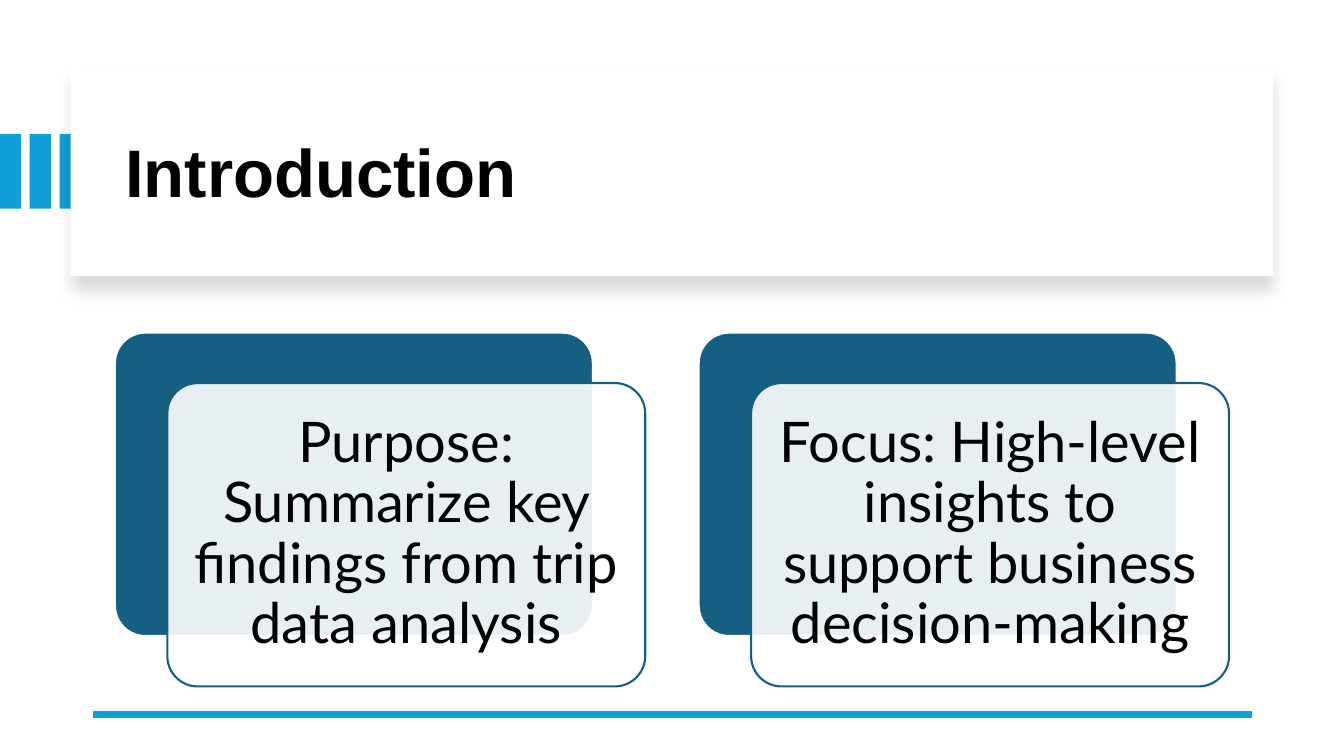
from lxml import etree
from pptx import Presentation
from pptx.dml.color import RGBColor
from pptx.enum import shapes as kinds, text as txt
from pptx.oxml import parse_xml
from pptx.oxml.ns import nsdecls, qn
from pptx.util import Inches, Pt

SKY = RGBColor(0x0F, 0x9E, 0xD5)
TEAL = RGBColor(0x15, 0x60, 0x82)
WHITE = RGBColor(0xFF, 0xFF, 0xFF)
BLACK = RGBColor(0, 0, 0)

MESSAGES = (
    "Purpose: Summarize key findings from trip data analysis",
    "Focus: High-level insights to support business decision-making",
)


def write(shape, words, *, size, font, align, bold=False, inset=(0.1, 0.05)):
    frame = shape.text_frame
    frame.word_wrap = True
    frame.auto_size = txt.MSO_AUTO_SIZE.NONE
    frame.vertical_anchor = txt.MSO_ANCHOR.MIDDLE
    frame.margin_left = frame.margin_right = Inches(inset[0])
    frame.margin_top = frame.margin_bottom = Inches(inset[1])
    paragraph = frame.paragraphs[0]
    paragraph.alignment = align
    paragraph.line_spacing = 0.9
    run = paragraph.add_run()
    run.text = words
    run.font.name = font
    run.font.size = Pt(size)
    run.font.bold = bold
    run.font.color.rgb = BLACK


def add_block(slide, box, fill, *, line=None, radius=None):
    preset = kinds.MSO_SHAPE.RECTANGLE if radius is None else kinds.MSO_SHAPE.ROUNDED_RECTANGLE
    block = slide.shapes.add_shape(preset, *map(Inches, box))
    block.shadow.inherit = False
    block.fill.solid()
    block.fill.fore_color.rgb = fill
    if radius is not None:
        block.adjustments[0] = radius
    if line is None:
        block.line.fill.background()
    else:
        block.line.color.rgb = line
        block.line.width = Pt(1.5)
    return block


def set_opacity(block, percent):
    color = block.element.spPr.find(qn("a:solidFill"))[0]
    etree.SubElement(color, qn("a:alpha")).set("val", str(percent * 1000))


def drop_shadow(block, *, blur, distance, opacity):
    effects = block.element.spPr.find(qn("a:effectLst"))
    effects.append(parse_xml(
        f'<a:outerShdw {nsdecls("a")} blurRad="{Pt(blur)}" dist="{Pt(distance)}" '
        f'dir="5400000" algn="t" rotWithShape="0"><a:srgbClr val="{BLACK}">'
        f'<a:alpha val="{opacity * 1000}"/></a:srgbClr></a:outerShdw>'))


def add_rule(slide, start, end, y):
    rule = slide.shapes.add_connector(
        kinds.MSO_CONNECTOR.STRAIGHT, Inches(start), Inches(y), Inches(end), Inches(y))
    rule.line.color.rgb = SKY
    rule.line.width = Pt(4.5)
    etree.SubElement(rule.element.spPr, qn("a:effectLst"))


def add_header(slide, heading):
    for index in range(3):
        add_block(slide, (index * 0.295, 1.33, 0.21, 0.74), SKY)
    banner = add_block(slide, (0.7, 0.67, 11.93, 2.07), WHITE)
    drop_shadow(banner, blur=11, distance=10, opacity=15)
    title = slide.shapes.title
    title.left, title.top, title.width, title.height = map(Inches, (1.14, 0.89, 11.13, 1.7))
    write(title, heading, size=48, font="Arial", align=txt.PP_ALIGN.LEFT, bold=True)
    banner.element.addnext(title.element)


def add_card(slide, left, message):
    top, width, height = 3.3, 4.74, 3.01
    add_block(slide, (left, top, width, height), TEAL, line=WHITE, radius=0.1)
    card = add_block(slide, (left + 0.52, top + 0.5, width, height), WHITE, line=TEAL, radius=0.1)
    set_opacity(card, 90)
    write(card, message, size=40, font="Lato", align=txt.PP_ALIGN.CENTER, inset=(0.17, 0.17))


def main():
    deck = Presentation()
    deck.slide_width, deck.slide_height = Inches(13.33), Inches(7.5)
    slide = deck.slides.add_slide(deck.slide_layouts[5])
    add_header(slide, "Introduction")
    add_rule(slide, 12.42, 0.92, 7.09)
    for index, message in enumerate(MESSAGES):
        add_card(slide, 1.14 + index * 5.79, message)
    deck.save("out.pptx")


if __name__ == "__main__":
    main()
